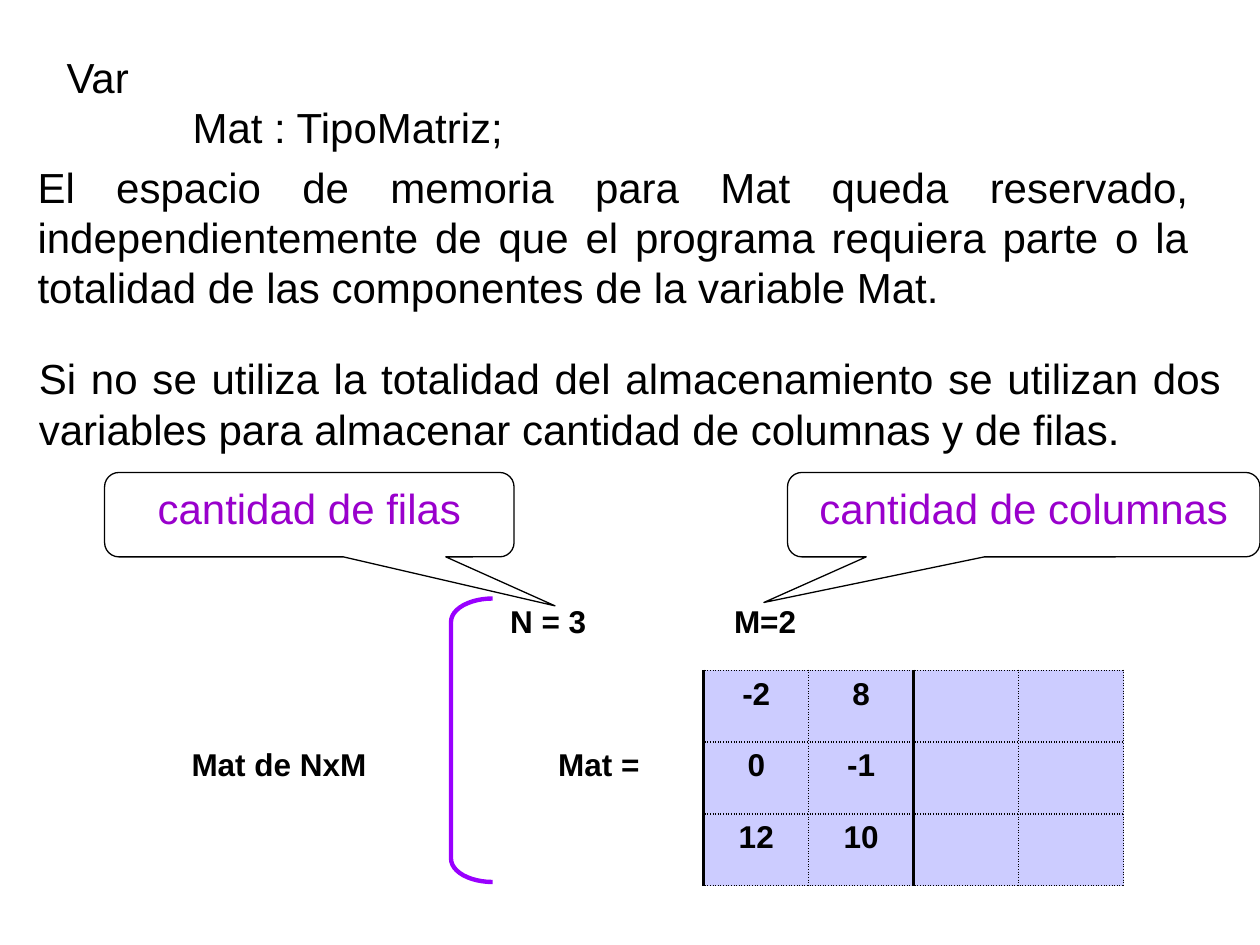
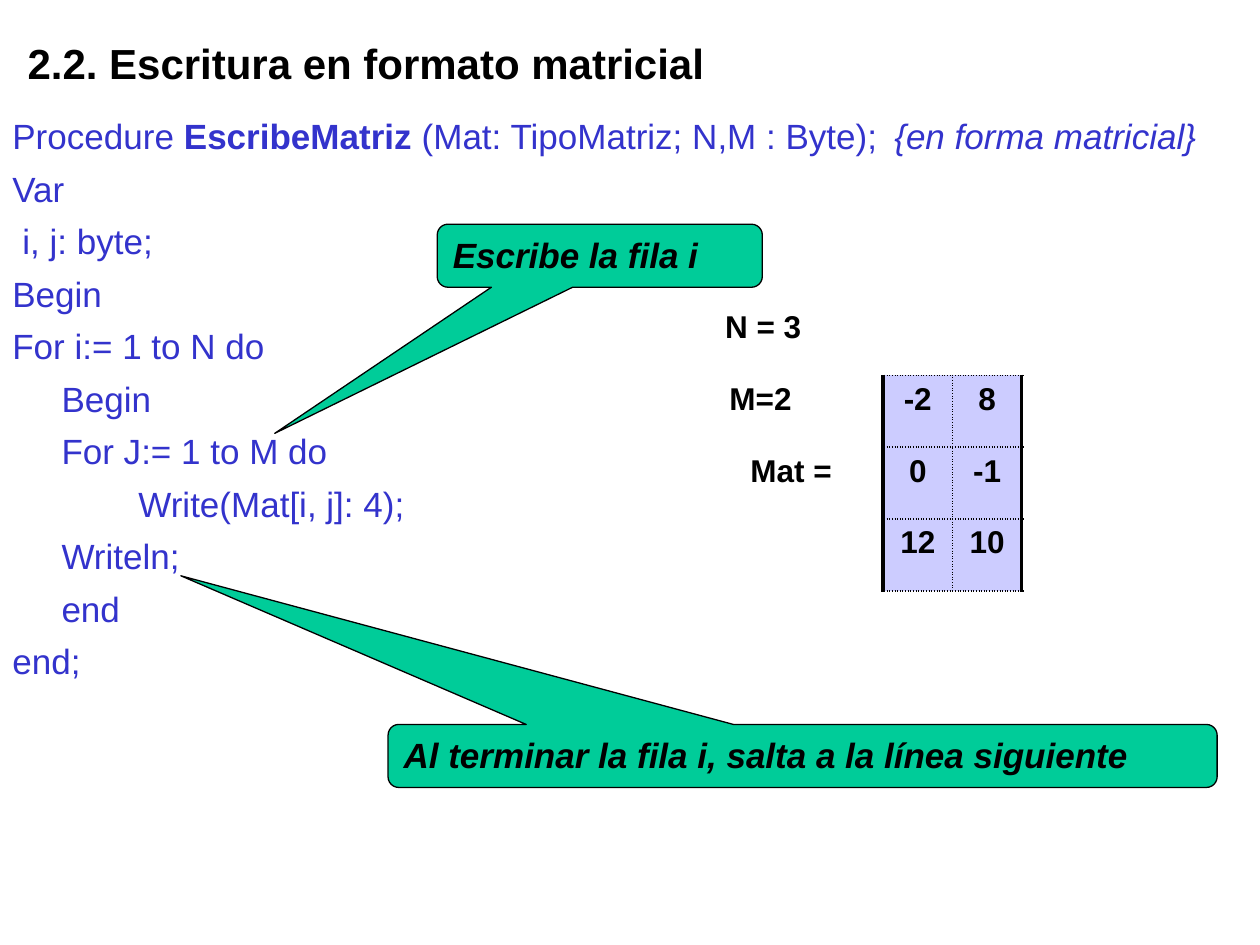
"""Build two slides on storing and printing a matrix."""
from lxml import etree
from pptx import Presentation
from pptx import util as u
from pptx.dml.color import RGBColor
from pptx.enum import shapes, text
from pptx.oxml import ns

BLACK = RGBColor(0x00, 0x00, 0x00)
PURPLE = RGBColor(0x99, 0x00, 0xCC)
VIOLET = RGBColor(0x99, 0x00, 0xFF)
CODE_BLUE = RGBColor(0x33, 0x33, 0xCC)
GREEN = RGBColor(0x00, 0xCC, 0x99)
LILAC = RGBColor(0xCC, 0xCC, 0xFF)

LEFT, CENTER, RIGHT, JUSTIFY = (
    text.PP_ALIGN.LEFT, text.PP_ALIGN.CENTER, text.PP_ALIGN.RIGHT, text.PP_ALIGN.JUSTIFY)
BODY = {"name": "Arial", "size": u.Pt(24), "bold": False, "italic": False}
HEADING = BODY | {"bold": True}
CODE = BODY | {"size": u.Pt(20)}
NOTE = CODE | {"bold": True, "italic": True}
CELL = HEADING | {"size": u.Pt(18)}

MATRIX = [["-2", "8"], ["0", "-1"], ["12", "10"]]
MATRIX_COLUMN = 5
LABEL_COLUMN = 3
ROW_HEIGHT = 0.57
THICK, DOTTED = (2.25, "solid"), (1, "sysDot")


def set_values(target, values):
    """Set each named attribute on the target."""
    for name, value in values.items():
        setattr(target, name, value)


def write_paragraph(para, spans, color=BLACK, align=LEFT, indent=0, before=0):
    """Fill a paragraph with (wording, format) spans."""
    set_values(para, {"alignment": align, "space_before": u.Pt(before)})
    if indent:
        para._p.get_or_add_pPr().set("marL", str(u.Inches(indent)))
    for wording, style in spans:
        span = para.add_run()
        span.text = wording
        set_values(span.font, style)
        span.font.color.rgb = color


def add_text(page, place, lines, color=BLACK, align=LEFT, before=0):
    """Add a wrapping text box of (indent, spans) lines."""
    box = page.shapes.add_textbox(*map(u.Inches, place))
    frame = box.text_frame
    set_values(frame, {"word_wrap": True,
                       "auto_size": text.MSO_AUTO_SIZE.SHAPE_TO_FIT_TEXT})
    for number, (indent, spans) in enumerate(lines):
        para = frame.add_paragraph() if number else frame.paragraphs[0]
        write_paragraph(para, spans, color, align, indent, before)


def add_outline(page, kind, place, adjustments, line, width, fill=None):
    """Add a preset shape with a plain outline and optional fill."""
    shape = page.shapes.add_shape(kind, *map(u.Inches, place))
    shape.shadow.inherit = False
    for number, value in enumerate(adjustments):
        shape.adjustments[number] = value
    if fill is None:
        shape.fill.background()
    else:
        shape.fill.solid()
        shape.fill.fore_color.rgb = fill
    shape.line.color.rgb = line
    shape.line.width = u.Pt(width)
    return shape


def add_callout(page, place, tip, wording, style, color=BLACK, align=LEFT, fill=None):
    """Add a rounded callout whose tip is relative to its size."""
    callout = add_outline(page, shapes.MSO_SHAPE.ROUNDED_RECTANGULAR_CALLOUT,
                          place, (*tip, 0.17), BLACK, 0.75, fill)
    frame = callout.text_frame
    set_values(frame, {"word_wrap": True, "vertical_anchor": text.MSO_ANCHOR.TOP})
    write_paragraph(frame.paragraphs[0], [(wording, style)], color, align)


def set_borders(cell, edges):
    """Draw the left, right, top and bottom edges of a cell."""
    properties = cell._tc.get_or_add_tcPr()
    for number, (side, edge) in enumerate(zip("LRTB", edges)):
        line = etree.Element(ns.qn(f"a:ln{side}"))
        if edge:
            width, dash = edge
            line.set("w", str(u.Pt(width)))
            fill = etree.SubElement(line, ns.qn("a:solidFill"))
            etree.SubElement(fill, ns.qn("a:srgbClr"), val=str(BLACK))
            etree.SubElement(line, ns.qn("a:prstDash"), val=dash)
        else:
            etree.SubElement(line, ns.qn("a:noFill"))
        properties.insert(number, line)


def add_matrix_table(page, left, top, widths, reserved, labels):
    """Add the matrix with its reserved columns and surrounding labels."""
    rows = len(MATRIX) + 1
    end = MATRIX_COLUMN + reserved
    used_end = MATRIX_COLUMN + len(MATRIX[0])

    def vertical(row, edge):
        """Return the line on a vertical edge."""
        if row and edge in (MATRIX_COLUMN, used_end):
            return THICK
        return DOTTED if row and MATRIX_COLUMN < edge <= end else None

    def horizontal(edge, column):
        """Return the line on a horizontal edge."""
        return DOTTED if edge and MATRIX_COLUMN <= column < end else None

    place = map(u.Inches, (left, top, sum(widths), rows * ROW_HEIGHT))
    table = page.shapes.add_table(rows, len(widths), *place).table
    set_values(table, {"first_row": False, "horz_banding": False})
    for column, width in zip(table.columns, widths):
        column.width = u.Inches(width)
    for first in (0, LABEL_COLUMN):
        table.cell(2, first).merge(table.cell(2, first + 1))

    contents = dict(labels)
    for row, values in enumerate(MATRIX, 1):
        for column, value in enumerate(values, MATRIX_COLUMN):
            contents[row, column] = (value, CENTER, 0)
    for row in range(rows):
        for column in range(len(widths)):
            cell = table.cell(row, column)
            if row and MATRIX_COLUMN <= column < end:
                cell.fill.solid()
                cell.fill.fore_color.rgb = LILAC
            else:
                cell.fill.background()
            set_borders(cell, (vertical(row, column),
                               vertical(row, column + cell.span_width),
                               horizontal(row, column), horizontal(row + 1, column)))
            if (row, column) in contents:
                wording, align, indent = contents[row, column]
                write_paragraph(cell.text_frame.paragraphs[0], [(wording, CELL)],
                                align=align, indent=indent)
    for row in table.rows:
        row.height = u.Inches(ROW_HEIGHT)


def build_storage_page(page):
    """Explain the memory reserved for a matrix."""
    for place, wording in (
        ((0.2, 1.23, 9.33, 1.3),
         "El espacio de memoria para Mat queda reservado, independientemente de que el "
         "programa requiera parte o la totalidad de las componentes de la variable Mat."),
        ((0.21, 2.75, 9.58, 0.9),
         "Si no se utiliza la totalidad del almacenamiento se utilizan dos variables "
         "para almacenar cantidad de columnas y de filas."),
    ):
        add_text(page, place, [(0, [(wording, BODY)])], align=JUSTIFY)
    add_matrix_table(page, 1.42, 4.75, [7.5 / 9] * 9, 4, {
        (0, LABEL_COLUMN): ("N = 3", RIGHT, 0),
        (0, MATRIX_COLUMN): ("M=2", RIGHT, 0),
        (2, 0): ("Mat de NxM", LEFT, 0),
        (2, LABEL_COLUMN): ("Mat =", CENTER, 0),
    })
    add_outline(page, shapes.MSO_SHAPE.LEFT_BRACKET, (3.58, 4.75, 0.33, 2.25),
                (0.56,), VIOLET, 2.5)
    for left, width, tip, wording in (
        (6.25, 3.75, (-0.55, 1.04), "cantidad de columnas"),
        (0.83, 3.25, (0.6, 1.08), "cantidad de filas"),
    ):
        add_callout(page, (left, 3.75, width, 0.67), tip, wording, BODY, PURPLE, CENTER)
    add_text(page, (0.43, 0.36, 9, 0.9),
             [(0, [("Var", BODY)]), (1, [("Mat : TipoMatriz;", BODY)])])


def build_writing_page(page):
    """Show the procedure that prints a matrix row by row."""
    signature = [("Procedure ", CODE), ("EscribeMatriz", CODE | {"bold": True}),
                 (" (Mat: TipoMatriz; N,M : Byte);\t", CODE),
                 ("{en forma matricial}", CODE | {"italic": True})]
    steps = [(0, "Var"), (0.08, "i, j: byte;"), (0, "Begin"), (0, "For i:= 1 to N do"),
             (0.39, "Begin"), (0.39, "For J:= 1 to M do"), (1, "Write(Mat[i, j]: 4);"),
             (0.39, "Writeln;"), (0.39, "end"), (0, "end;")]
    lines = [(0, signature)] + [(indent, [(step, CODE)]) for indent, step in steps]
    add_text(page, (0, 0.86, 10, 5.15), lines, CODE_BLUE, before=6)
    for place, tip, wording in (
        ((3.47, 1.78, 2.58, 0.5), (-1, 2.82), "Escribe la fila i"),
        ((3.08, 5.75, 6.58, 0.5), (-0.75, -2.86),
         "Al terminar la fila i, salta a la línea siguiente"),
    ):
        add_callout(page, place, tip, wording, NOTE, fill=GREEN)
    add_matrix_table(page, 4.21, 2.41, [0.55, 0.55, 0.23, 0.91] + [0.55] * 5, 2, {
        (0, LABEL_COLUMN): ("N = 3", RIGHT, 0),
        (1, LABEL_COLUMN): ("M=2", LEFT, 0.14),
        (2, LABEL_COLUMN): ("Mat =", CENTER, 0),
    })
    add_text(page, (0.12, 0.25, 7.48, 0.5),
             [(0, [("2.2. Escritura en formato matricial", HEADING)])])


def main():
    """Create and save the deck."""
    deck = Presentation()
    set_values(deck, {"slide_width": u.Inches(10), "slide_height": u.Inches(7.5)})
    for build in (build_storage_page, build_writing_page):
        build(deck.slides.add_slide(deck.slide_layouts[6]))
    deck.save("out.pptx")


if __name__ == "__main__":
    main()
